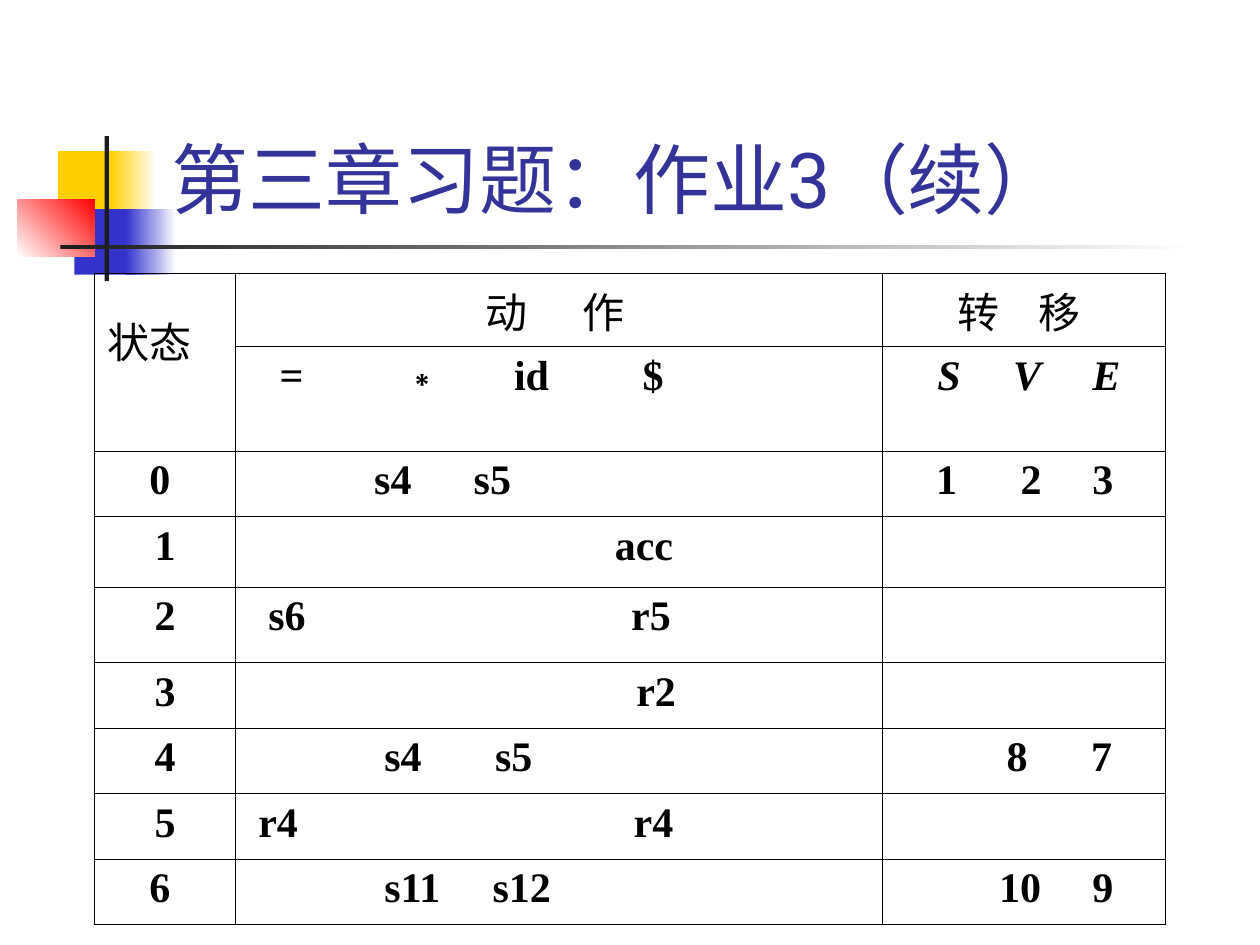
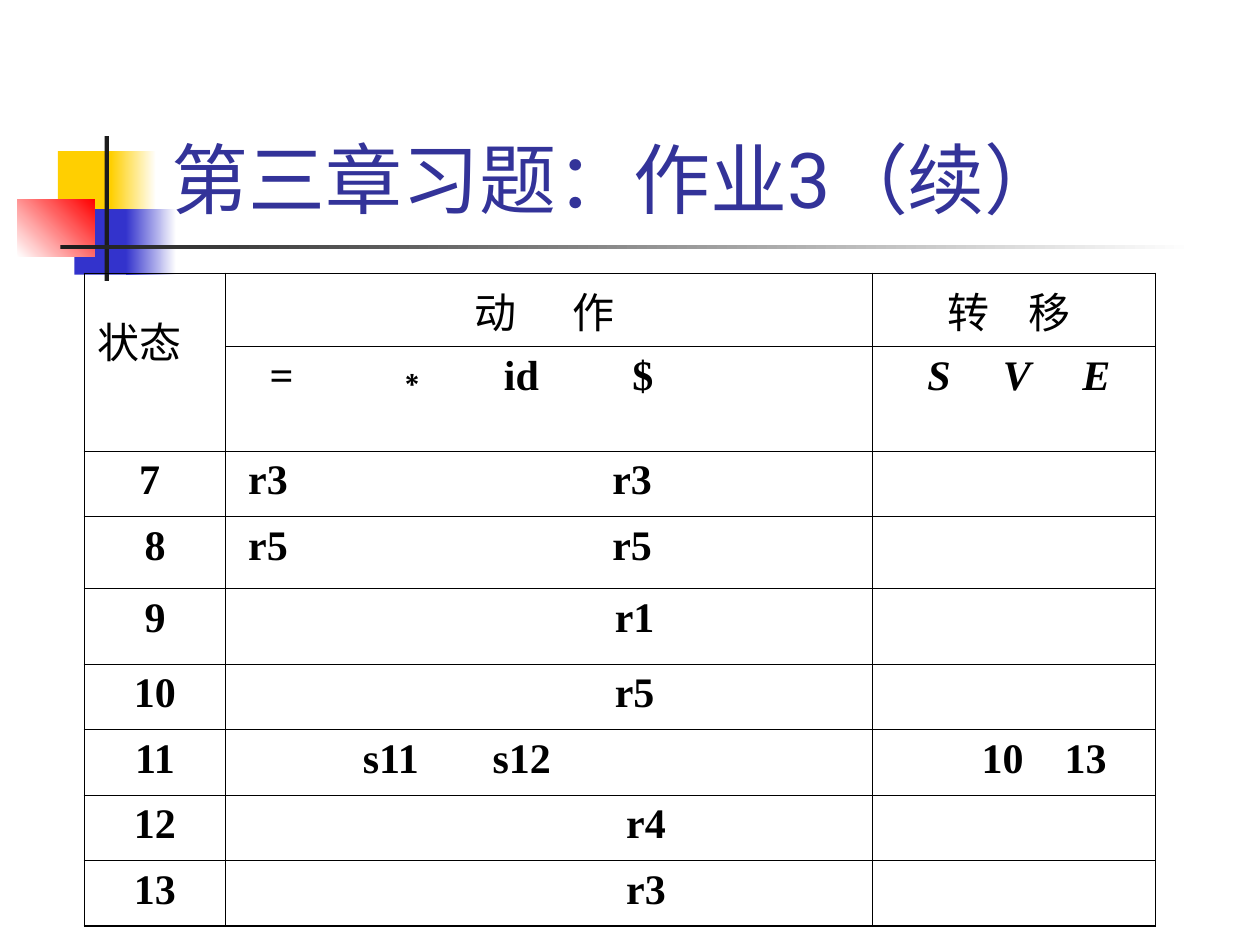
"""Build two slides holding the halves of an LR parsing table."""
from lxml import etree
from pptx import Presentation
from pptx import util as u
from pptx.dml.color import RGBColor
from pptx.enum import shapes, text
from pptx.oxml.ns import qn

COLORS = {"yellow": "FFCF01", "blue": "3333CC", "red": "FF0000", "dark": "1C1C1C",
          "white": "FFFFFF", "title": "333399", "ink": "000000"}
GRID_COLUMNS, GRID_ROWS = 100, 75
TITLE = "第三章习题：作业3（续）"
SERIF, SANS, CJK = "Times New Roman", "Arial", "Noto Sans CJK SC"
COLUMN_WIDTHS = [11.2, 51.3, 22.5]
HEADER_HEIGHTS = [5.8, 8.3]
THIN, THICK = 0.45, 1.08

ACTION_HEADING = {18.8: "动", 26.5: "作"}
GOTO_HEADING = {5: "转", 11.4: "移"}
TERMINALS = {2.5: "=", 12.2: "∗", 21.1: "id", 31.3: "$"}
NONTERMINALS = {3.4: "S", 9.4: "V", 15.7: "E"}

STATES_0_TO_6 = [
    ("0 ", {10: "s4", 17.9: "s5"}, {3.3: "1", 10: "2", 15.7: "3"}),
    ("1", {29.1: "acc"}, {}),
    ("2", {1.6: "s6", 30.4: "r5"}, {}),
    ("3", {30.8: "r2"}, {}),
    ("4", {10.8: "s4", 19.6: "s5"}, {8.9: "8", 15.6: "7"}),
    ("5", {0.8: "r4", 30.6: "r4"}, {}),
    ("6 ", {10.8: "s11", 19.4: "s12"}, {8.3: "10", 15.7: "9"}),
]
STATES_7_TO_13 = [
    ("7 ", {0.8: "r3", 29.7: "r3"}, {}),
    ("8", {0.8: "r5", 29.7: "r5"}, {}),
    ("9", {29.9: "r1"}, {}),
    ("10", {29.9: "r5"}, {}),
    ("11", {9.9: "s11", 20.2: "s12"}, {7.7: "10", 14.3: "13"}),
    ("12", {30.8: "r4"}, {}),
    ("13", {30.8: "r3"}, {}),
]


class Deck:
    """Holds the style and the current slide, measured on a square grid."""

    def __init__(self):
        self.presentation = Presentation()
        self.presentation.slide_width = u.Inches(10)
        self.presentation.slide_height = u.Inches(7.5)
        self.slide = None

    def across(self, columns):
        return round(self.presentation.slide_width * columns / GRID_COLUMNS)

    def down(self, rows):
        return round(self.presentation.slide_height * rows / GRID_ROWS)

    def box(self, left, top, width, height):
        return self.across(left), self.down(top), self.across(width), self.down(height)

    def color(self, name):
        return RGBColor.from_string(COLORS[name])

    def style(self, font, name, size, color="ink", bold=False, italic=False):
        font.name, font.size = name, u.Pt(size)
        font.bold, font.italic = bold, italic
        font.color.rgb = self.color(color)

    def block(self, place, start, end=None, angle=0):
        shape = self.slide.shapes.add_shape(shapes.MSO_SHAPE.RECTANGLE, *self.box(*place))
        shape.shadow.inherit = False
        shape.line.fill.background()
        if end is None:
            shape.fill.solid()
            shape.fill.fore_color.rgb = self.color(start)
            return
        shape.fill.gradient()
        shape.fill.gradient_angle = angle
        for stop, position, name in zip(shape.fill.gradient_stops, (0, 1), (start, end)):
            stop.position = position
            stop.color.rgb = self.color(name)

    def title(self, wording):
        frame = self.slide.shapes.add_textbox(*self.box(12.6, 2.3, 85.2, 16)).text_frame
        frame.word_wrap = True
        frame.vertical_anchor = text.MSO_ANCHOR.BOTTOM
        paragraph = frame.paragraphs[0]
        paragraph.text = wording
        self.style(paragraph.font, "Roboto", 44, "title")

    def start_slide(self, title):
        layout = self.presentation.slide_layouts[6]
        self.slide = self.presentation.slides.add_slide(layout)
        self.block((4.6, 12, 4.8, 5.2), "yellow")
        self.block((8.8, 12, 3.6, 5.2), "yellow", "white")
        self.block((5.9, 16.6, 4.6, 5.2), "blue")
        self.block((10, 16.6, 4, 5.2), "blue", "white")
        self.block((1.4, 15.8, 6.1, 4.6), "white", "red", 45)
        self.block((8.3, 10.8, 0.35, 11.5), "dark")
        self.block((4.8, 19.45, 90, 0.35), "dark", "white")
        self.title(title)

    def borders(self, cell, **widths):
        properties = cell._tc.get_or_add_tcPr()
        for index, (side, width) in enumerate(widths.items()):
            line = etree.Element(qn(f"a:ln{side}"), w=str(u.Pt(width)))
            fill = etree.SubElement(line, qn("a:solidFill"))
            etree.SubElement(fill, qn("a:srgbClr"), val=COLORS["ink"])
            properties.insert(index, line)

    def label(self, cell, wording, font=SERIF, bold=True):
        paragraph = cell.text_frame.paragraphs[0]
        paragraph.text = wording
        paragraph.alignment = text.PP_ALIGN.CENTER
        self.style(paragraph.font, font, 24, bold=bold)
        return paragraph

    def entries(self, cell, stops, font=SERIF, bold=True, italic=False):
        paragraph = cell.text_frame.paragraphs[0]
        if stops:
            tabs = etree.SubElement(paragraph._p.get_or_add_pPr(), qn("a:tabLst"))
            for position in stops:
                etree.SubElement(tabs, qn("a:tab"), pos=str(self.across(position)), algn="l")
        self.style(paragraph.font, font, 24, bold=bold, italic=italic)
        for entry in stops.values():
            run = paragraph.add_run()
            run.text = "\t" + entry
            if entry == "∗":
                run.font.name = SANS

    def parsing_table(self, left, states, state_heights):
        heights = HEADER_HEIGHTS + state_heights
        place = self.box(left, 21.7, sum(COLUMN_WIDTHS), sum(heights))
        table = self.slide.shapes.add_table(len(heights), len(COLUMN_WIDTHS), *place).table
        table.first_row = table.horz_banding = False
        for column, width in zip(table.columns, COLUMN_WIDTHS):
            column.width = self.across(width)
        for row, height in zip(table.rows, heights):
            row.height = self.down(height)

        last_row, last_column = len(heights) - 1, len(COLUMN_WIDTHS) - 1
        for r in range(last_row + 1):
            for c in range(last_column + 1):
                cell = table.cell(r, c)
                cell.fill.background()
                self.borders(cell, L=THIN if c else THICK,
                             R=THICK if c == last_column else THIN,
                             T=THIN if r else THICK,
                             B=THICK if r == last_row else THIN)

        table.cell(0, 0).merge(table.cell(1, 0))
        heading = self.label(table.cell(0, 0), "状态", bold=False)
        heading.alignment = text.PP_ALIGN.LEFT
        heading.line_spacing = 1.5
        self.entries(table.cell(0, 1), ACTION_HEADING, CJK, bold=False)
        self.entries(table.cell(0, 2), GOTO_HEADING, CJK, bold=False)
        self.entries(table.cell(1, 1), TERMINALS)
        self.entries(table.cell(1, 2), NONTERMINALS, italic=True)
        for r, (state, actions, gotos) in enumerate(states, len(HEADER_HEIGHTS)):
            self.label(table.cell(r, 0), state)
            self.entries(table.cell(r, 1), actions)
            self.entries(table.cell(r, 2), gotos)


def main():
    deck = Deck()
    deck.start_slide(TITLE)
    deck.parsing_table(7.5, STATES_0_TO_6, [5.2, 5.6, 6] + [5.2] * 4)
    deck.start_slide(TITLE)
    deck.parsing_table(6.7, STATES_7_TO_13, [5.2, 5.7, 6] + [5.2] * 4)
    deck.presentation.save("out.pptx")


if __name__ == "__main__":
    main()
